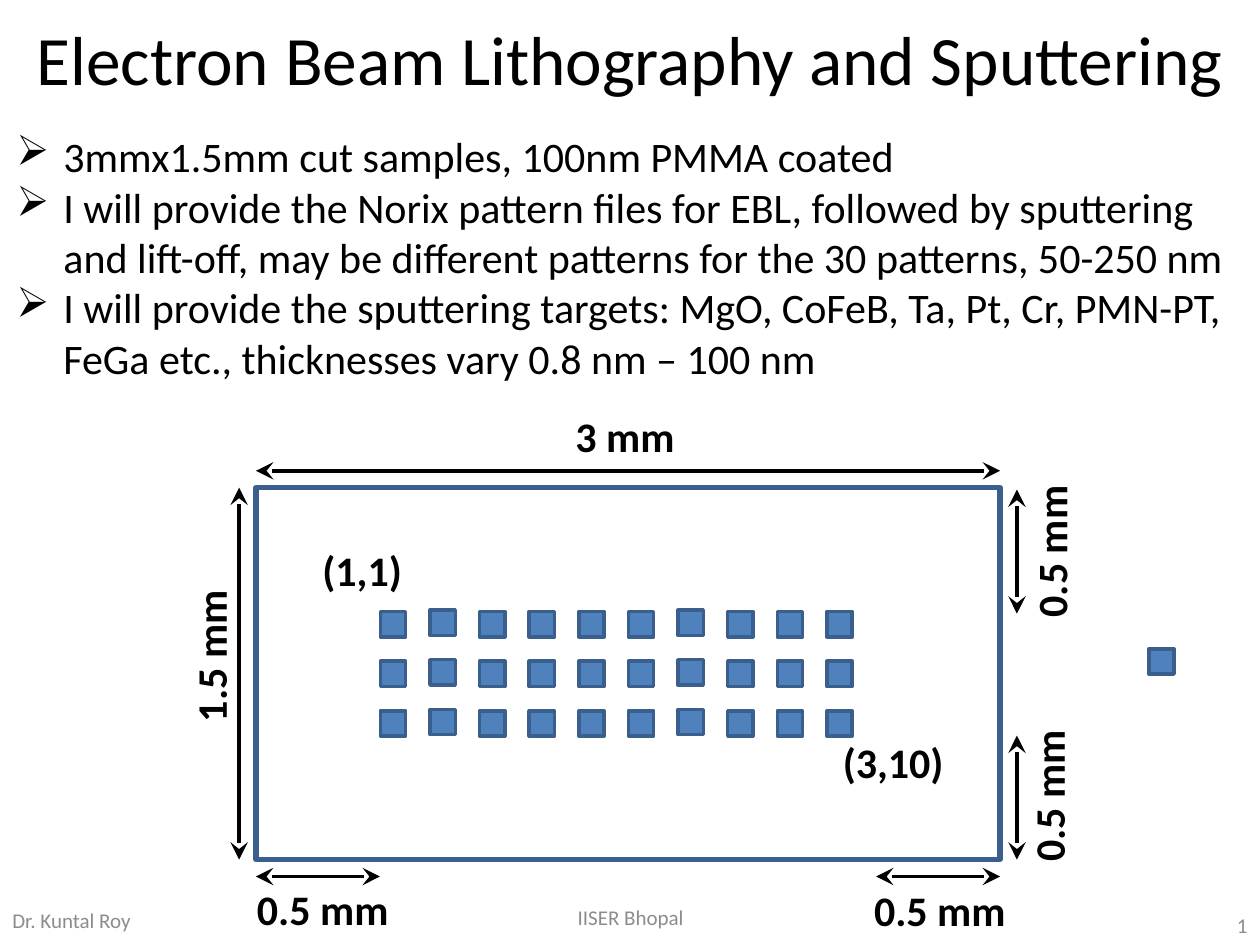
import pptx
import pptx.util
import pptx.dml.color
import pptx.enum.shapes
import pptx.enum.text
import pptx.oxml.ns
from lxml import etree

Cm, Pt = pptx.util.Cm, pptx.util.Pt
RGB = pptx.dml.color.RGBColor.from_string
ALIGN = pptx.enum.text.PP_ALIGN
ANCHOR = pptx.enum.text.MSO_ANCHOR
qn = pptx.oxml.ns.qn

THEME = {
    "font": "Calibri", "ink": "000000", "muted": "8C8C8C",
    "fill": "4F81BD", "outline": "3A5F8C",
    "title": 39.6, "body": 24, "footer": 12,
}

# Content; all lengths are in centimetres
TITLE = "Electron Beam Lithography and Sputtering"
STEPS = [
    "3mmx1.5mm cut samples, 100nm PMMA coated",
    "I will provide the Norix pattern files for EBL, followed by sputtering "
    "and lift-off, may be different patterns for the 30 patterns, 50-250 nm",
    "I will provide the sputtering targets: MgO, CoFeB, Ta, Pt, Cr, PMN-PT, "
    "FeGa etc., thicknesses vary 0.8 nm – 100 nm",
]
FOOTERS = [  # text, box, alignment
    ("1", (19.48, 18.14, 5.92, 1.02), ALIGN.RIGHT),
    ("Dr. Kuntal Roy", (0, 18.03, 5.92, 1.02), ALIGN.LEFT),
    ("IISER Bhopal", (8.69, 17.98, 8.05, 1.02), ALIGN.CENTER),
]

# The sample is drawn at 5 cm per mm
SCALE = 5
LEFT, TOP = 5.16, 9.83
WIDTH, HEIGHT, MARGIN = 3 * SCALE, 1.5 * SCALE, 0.5 * SCALE
RIGHT, BOTTOM = LEFT + WIDTH, TOP + HEIGHT
GAP = 0.34  # from sample edge to dimension line

DIMENSIONS = [  # start, end
    ((LEFT, TOP - GAP), (RIGHT, TOP - GAP)),
    ((LEFT - GAP, BOTTOM), (LEFT - GAP, TOP)),
    ((RIGHT + GAP, TOP + MARGIN + 0.04), (RIGHT + GAP, TOP + 0.04)),
    ((RIGHT + GAP, BOTTOM), (RIGHT + GAP, BOTTOM - MARGIN)),
    ((LEFT, BOTTOM + GAP), (LEFT + MARGIN, BOTTOM + GAP)),
    ((RIGHT - MARGIN, BOTTOM + GAP), (RIGHT, BOTTOM + GAP)),
]
LABELS = [  # text, left, top, width, rotation
    ("3 mm", 11.35, 8.15, 2.62, 0),
    ("1.5 mm", 2.59, 12.52, 3.3, 270),
    ("0.5 mm", 19.53, 10.41, 3.3, 270),
    ("0.5 mm", 19.48, 15.34, 3.3, 270),
    ("0.5 mm", 4.93, 17.68, 3.25, 0),
    ("0.5 mm", 17.37, 17.7, 3.25, 0),
    ("(1,1)", 6.25, 10.85, 2.62, 0),
    ("(3,10)", 16.74, 14.73, 2.62, 0),
]

# Pattern grid, 3 rows by 10 columns
ROWS, COLUMNS, PITCH, PAD = 3, 10, 1, 0.51
GRID_LEFT, GRID_TOP = 7.67, 12.33
RAISED_COLUMNS, RAISE = (1, 6), 0.03
LONE_PAD = (23.16, 13.08)


def add_text(slide, paragraphs, box, size, color=THEME["ink"], bold=False,
             align=ALIGN.LEFT, anchor=ANCHOR.TOP, bullet=None):
    textbox = slide.shapes.add_textbox(*map(Cm, box))
    frame = textbox.text_frame
    frame.word_wrap = True
    frame.vertical_anchor = anchor
    for index, text in enumerate(paragraphs):
        paragraph = frame.paragraphs[0] if index == 0 else frame.add_paragraph()
        paragraph.text = text
        paragraph.alignment = align
        if bullet:
            properties = paragraph._p.get_or_add_pPr()
            properties.set("marL", str(Cm(0.95)))
            properties.set("indent", str(-Cm(0.95)))
            etree.SubElement(properties, qn("a:buChar"), char=bullet)
        paragraph.font.name = THEME["font"]
        paragraph.font.size = Pt(size)
        paragraph.font.bold = bold
        paragraph.font.color.rgb = RGB(color)
    return textbox


def add_rectangle(slide, box, line_width, fill=None):
    rectangle = slide.shapes.add_shape(
        pptx.enum.shapes.MSO_SHAPE.RECTANGLE, *map(Cm, box))
    rectangle.shadow.inherit = False
    if fill:
        rectangle.fill.solid()
        rectangle.fill.fore_color.rgb = RGB(fill)
    else:
        rectangle.fill.background()
    rectangle.line.color.rgb = RGB(THEME["outline"])
    rectangle.line.width = Pt(line_width)


def add_pad(slide, left, top):
    add_rectangle(slide, (left, top, PAD, PAD), 2, THEME["fill"])


def add_dimension(slide, start, end):
    dimension = slide.shapes.add_connector(
        pptx.enum.shapes.MSO_CONNECTOR.STRAIGHT, *map(Cm, start + end))
    dimension.line.color.rgb = RGB(THEME["ink"])
    dimension.line.width = Pt(2)
    line = dimension.line._get_or_add_ln()
    for side in ("a:headEnd", "a:tailEnd"):
        etree.SubElement(line, qn(side), type="stealth", w="lg", len="lg")
    etree.SubElement(dimension._element.spPr, qn("a:effectLst"))


def main():
    deck = pptx.Presentation()
    deck.slide_width, deck.slide_height = Cm(25.4), Cm(19.05)
    slide = deck.slides.add_slide(deck.slide_layouts[6])

    # Title, footers and steps
    add_text(slide, [TITLE], (0, -0.43, 25.4, 3.18), THEME["title"],
             align=ALIGN.CENTER, anchor=ANCHOR.MIDDLE)
    for text, box, align in FOOTERS:
        add_text(slide, [text], box, THEME["footer"], THEME["muted"],
                 align=align, anchor=ANCHOR.MIDDLE)
    add_text(slide, STEPS, (0.08, 2.51, 25.2, 6.4), THEME["body"], bullet="➢")

    # Sample outline and its pattern pads
    add_rectangle(slide, (LEFT, TOP, WIDTH, HEIGHT), 3)
    for column in range(COLUMNS):
        raise_by = RAISE if column in RAISED_COLUMNS else 0
        for row in range(ROWS):
            add_pad(slide, GRID_LEFT + column * PITCH,
                    GRID_TOP + row * PITCH - raise_by)
    add_pad(slide, *LONE_PAD)

    # Dimension lines and labels
    for start, end in DIMENSIONS:
        add_dimension(slide, start, end)
    for text, left, top, width, rotation in LABELS:
        label = add_text(slide, [text], (left, top, width, 1.27),
                         THEME["body"], bold=True)
        label.rotation = rotation

    deck.save("out.pptx")


if __name__ == "__main__":
    main()
